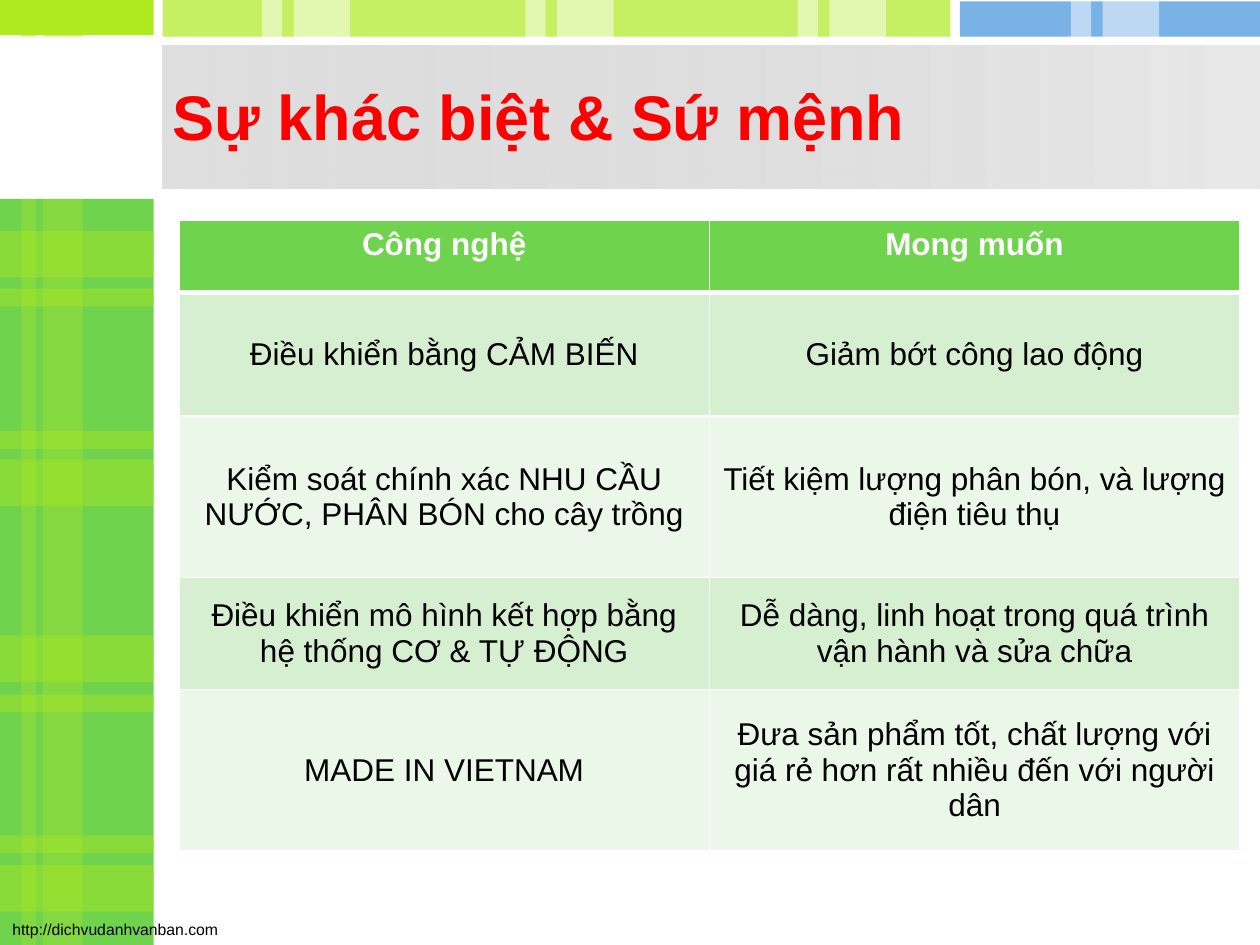
from lxml.etree import SubElement
from pptx import Presentation
from pptx.dml.color import RGBColor
from pptx.enum.shapes import MSO_SHAPE
from pptx.enum.text import MSO_ANCHOR, MSO_AUTO_SIZE, PP_ALIGN
from pptx.oxml.ns import qn
from pptx.util import Cm, Pt

GREEN = RGBColor(0x70, 0xD3, 0x4D)
LIME = RGBColor(0xAF, 0xE9, 0x1F)
BLUE = RGBColor(0x41, 0x92, 0xDB)
WHITE = RGBColor(0xFF, 0xFF, 0xFF)
BLACK = RGBColor(0, 0, 0)
RED = RGBColor(0xFF, 0, 0)
GREY = RGBColor(0xC0, 0xC0, 0xC0)
PALE_GREY = RGBColor(0xE8, 0xE8, 0xE8)
MINT = RGBColor(0xD5, 0xEF, 0xD0)
PALE_MINT = RGBColor(0xEB, 0xF7, 0xE9)
FONT = "Arial"

deck = Presentation()
deck.slide_width, deck.slide_height = Cm(25.4), Cm(19.05)
page = deck.slides.add_slide(deck.slide_layouts[5])


def add_bar(left, top, width, height, color, opacity=100):
    bar = page.shapes.add_shape(
        MSO_SHAPE.RECTANGLE, Cm(left), Cm(top), Cm(width), Cm(height))
    bar.shadow.inherit = False
    bar.line.fill.background()
    bar.fill.solid()
    bar.fill.fore_color.rgb = color
    if opacity < 100:
        tint = bar._element.spPr.find(".//" + qn("a:srgbClr"))
        SubElement(tint, qn("a:alpha"), val=str(opacity * 1000))
    return bar


def add_span(para, text, size, color, bold=False):
    span = para.add_run()
    span.text = text
    span.font.name = FONT
    span.font.size = Pt(size)
    span.font.bold = bold
    span.font.color.rgb = color


add_bar(0, 4.01, 3.1, 15.04, GREEN)
add_bar(0, 0, 3.1, 0.71, LIME)
add_bar(3.28, 0, 15.88, 0.74, LIME, 70)
add_bar(19.35, 0.03, 6.05, 0.71, BLUE, 70)

for wide_top, thin_top in [(4.66, 5.82), (9.26, 8.69), (12.81, 14), (17.44, 16.84)]:
    add_bar(0, wide_top, 3.1, 0.94, LIME, 40)
    add_bar(0, thin_top, 3.1, 0.36, LIME, 40)

for top, height, opacity in [(4.01, 15.04, 30), (0, 0.74, 50)]:
    add_bar(0.43, top, 0.3, height, LIME, opacity)
    add_bar(0.86, top, 0.81, height, LIME, opacity)

for left in (5.28, 10.59, 16.08, 21.59):
    add_bar(left, 0, 0.41, 0.79, WHITE, 50)
    add_bar(left + 0.64, 0, 1.14, 0.79, WHITE, 50)

banner = add_bar(3.28, 0.91, 22.12, 2.9, GREY)
banner.fill.gradient()
banner.fill.gradient_angle = 0
for stop, position, color in zip(banner.fill.gradient_stops, (0, 1), (GREY, PALE_GREY)):
    stop.position = position
    stop.color.rgb = color
SubElement(banner._element.spPr.find(".//" + qn("a:srgbClr")), qn("a:alpha"), val="50000")

title = page.shapes.title
page.shapes._spTree.append(title._element)
title.left, title.top, title.width, title.height = Cm(3.23), Cm(1.27), Cm(20.8), Cm(2.11)
title.text_frame.vertical_anchor = MSO_ANCHOR.MIDDLE
title.text_frame.auto_size = MSO_AUTO_SIZE.NONE
para = title.text_frame.paragraphs[0]
para.alignment = PP_ALIGN.LEFT
add_span(para, "Sự khác biệt & Sứ mệnh", 36, RED, True)

footer = page.shapes.add_textbox(0, Cm(18.42), Cm(4.7), Cm(0.63))
footer.text_frame.word_wrap = False
add_span(footer.text_frame.paragraphs[0], "http://dichvudanhvanban.com", 9, BLACK)

rows = [
    ("Công nghệ", "Mong muốn"),
    ("Điều khiển bằng CẢM BIẾN", "Giảm bớt công lao động"),
    ("Kiểm soát chính xác NHU CẦU NƯỚC, PHÂN BÓN cho cây trồng",
     "Tiết kiệm lượng phân bón, và lượng điện tiêu thụ"),
    ("Điều khiển mô hình kết hợp bằng hệ thống CƠ & TỰ ĐỘNG",
     "Dễ dàng, linh hoạt trong quá trình vận hành và sửa chữa"),
    ("MADE IN VIETNAM",
     "Đưa sản phẩm tốt, chất lượng với giá rẻ hơn rất nhiều đến với người dân"),
]
heights = [1.45, 2.49, 3.25, 2.26, 3.25]
table = page.shapes.add_table(
    len(rows), 2, Cm(3.61), Cm(4.45), Cm(21.38), Cm(sum(heights))).table
for column in table.columns:
    column.width = Cm(10.69)

for r, (texts, height) in enumerate(zip(rows, heights)):
    table.rows[r].height = Cm(height)
    header = r == 0
    for c, text in enumerate(texts):
        cell = table.cell(r, c)
        for side in ("L", "R", "T", "B"):
            thick = (r, side) in [(0, "B"), (1, "T")]
            border = SubElement(cell._tc.get_or_add_tcPr(), qn("a:ln" + side),
                                w=str(Pt(3 if thick else 1)))
            SubElement(SubElement(border, qn("a:solidFill")), qn("a:srgbClr"), val=str(WHITE))
        cell.fill.solid()
        cell.fill.fore_color.rgb = GREEN if header else (MINT if r % 2 else PALE_MINT)
        cell.vertical_anchor = MSO_ANCHOR.TOP if header else MSO_ANCHOR.MIDDLE
        para = cell.text_frame.paragraphs[0]
        para.alignment = PP_ALIGN.CENTER
        add_span(para, text, 18, WHITE if header else BLACK, header)

deck.save("out.pptx")
